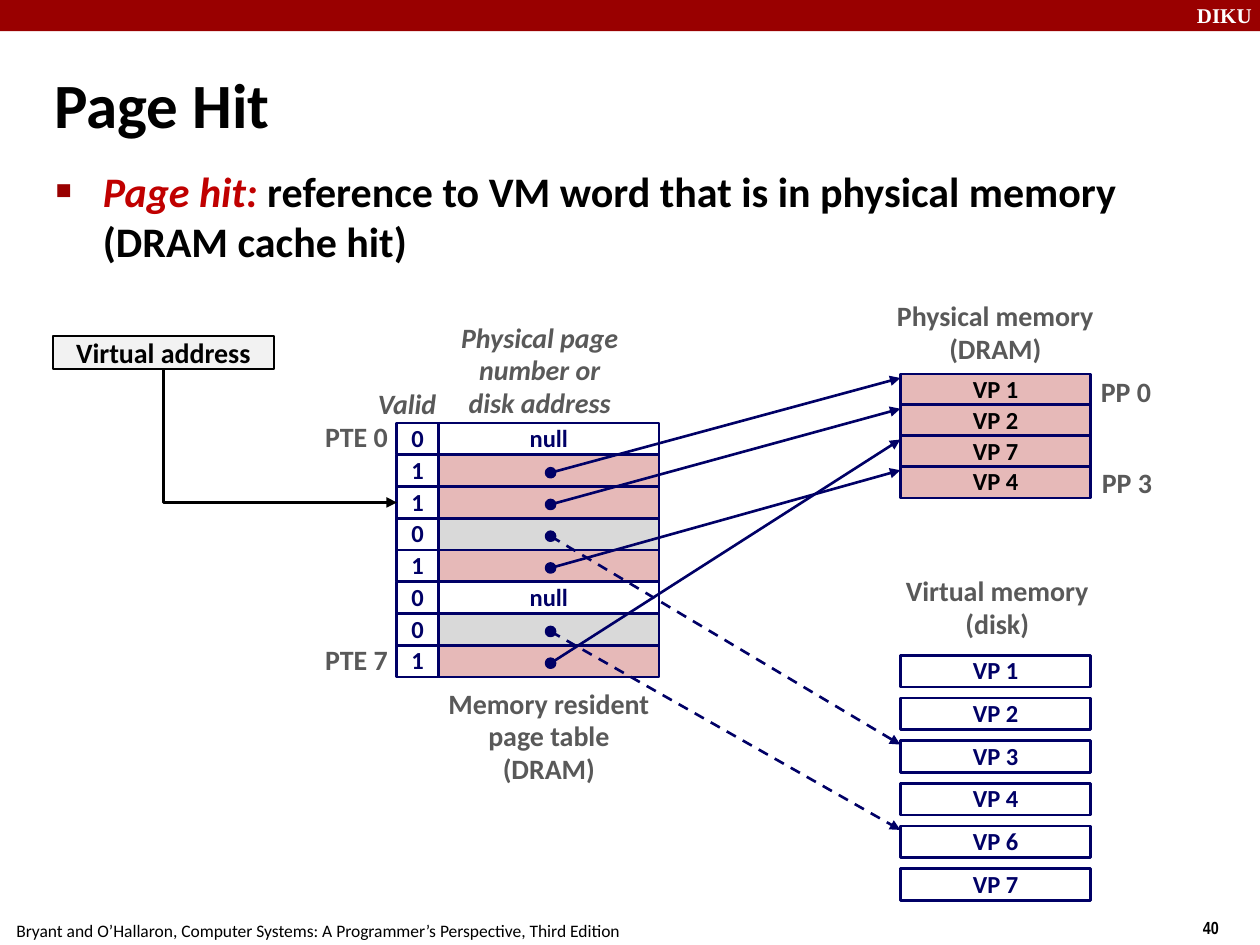
from lxml import etree
from pptx import Presentation
from pptx.dml.color import RGBColor
from pptx.enum.dml import MSO_LINE
from pptx.enum.shapes import MSO_CONNECTOR, MSO_SHAPE
from pptx.enum.text import MSO_ANCHOR, MSO_AUTO_SIZE, PP_ALIGN
from pptx.oxml.ns import qn
from pptx.util import Cm, Pt

RECT, OVAL = MSO_SHAPE.RECTANGLE, MSO_SHAPE.OVAL
STRAIGHT, ELBOW = MSO_CONNECTOR.STRAIGHT, MSO_CONNECTOR.ELBOW
LEFT, CENTER, RIGHT = PP_ALIGN.LEFT, PP_ALIGN.CENTER, PP_ALIGN.RIGHT
TOP, MIDDLE = MSO_ANCHOR.TOP, MSO_ANCHOR.MIDDLE
DASH = MSO_LINE.DASH
NO_FIT = MSO_AUTO_SIZE.NONE

BLACK = RGBColor(0x00, 0x00, 0x00)
WHITE = RGBColor(0xFF, 0xFF, 0xFF)
BANNER_RED = RGBColor(0x99, 0x00, 0x00)
TERM_RED = RGBColor(0xC0, 0x00, 0x00)
NAVY = RGBColor(0x00, 0x00, 0x66)
PINK = RGBColor(0xE6, 0xB9, 0xB8)
GRAY = RGBColor(0xD9, 0xD9, 0xD9)
PALE = RGBColor(0xF2, 0xF2, 0xF2)
LABEL_GRAY = RGBColor(0x59, 0x59, 0x59)

CELL_FONT = {"name": "Calibri", "size": Pt(14), "bold": True}
LABEL_FONT = {"name": "Calibri", "size": Pt(16), "bold": True}
ITALIC_FONT = {**LABEL_FONT, "italic": True}
TITLE_FONT = {"name": "Calibri", "size": Pt(36), "bold": True}
BODY_FONT = {"name": "Calibri", "size": Pt(24), "bold": True}

# Grid, in centimetres
ROW_H = 0.64
VALID_X, VALID_W = 8.0, 0.84
PTE_X, PTE_Y, PTE_W = 8.84, 8.53, 4.45
PAGE_X, PAGE_W = 18.15, 3.84
DRAM_Y, DRAM_STEP = 7.54, 0.62
DISK_Y, DISK_STEP = 13.21, 0.86
DOT_X, DOT_D = 11.1, 0.2

DRAM_PAGES = ["VP 1", "VP 2", "VP 7", "VP 4"]
DISK_PAGES = ["VP 1", "VP 2", "VP 3", "VP 4", "VP 6", "VP 7"]
# Valid bit and the virtual page each entry refers to
PAGE_TABLE = [("0", None), ("1", "VP 1"), ("1", "VP 2"), ("0", "VP 3"),
              ("1", "VP 4"), ("0", None), ("0", "VP 6"), ("1", "VP 7")]


def set_attrs(obj, fmt):
    for name, value in fmt.items():
        setattr(obj, name, value)


def style_font(font, fmt, color):
    set_attrs(font, fmt)
    font.color.rgb = color


def fill_text(tf, text, fmt, color, align=CENTER, anchor=MIDDLE, spacing=0.98):
    set_attrs(tf, {"word_wrap": False, "vertical_anchor": anchor})
    for i, line in enumerate(text.split("\n")):
        p = tf.paragraphs[0] if i == 0 else tf.add_paragraph()
        set_attrs(p, {"alignment": align, "line_spacing": spacing})
        r = p.add_run()
        r.text = line
        style_font(r.font, fmt, color)


def add_label(s, text, x, y, w, h, fmt=LABEL_FONT, color=LABEL_GRAY, **layout):
    sp = s.shapes.add_textbox(Cm(x), Cm(y), Cm(w), Cm(h))
    fill_text(sp.text_frame, text, fmt, color, **layout)


def add_box(s, x, y, w, h, fill=None, line=NAVY, weight=1.5, kind=RECT):
    sp = s.shapes.add_shape(kind, Cm(x), Cm(y), Cm(w), Cm(h))
    sp.shadow.inherit = False
    if fill is None:
        sp.fill.background()
    else:
        sp.fill.solid()
        sp.fill.fore_color.rgb = fill
    if line is None:
        sp.line.fill.background()
    else:
        sp.line.color.rgb = line
        sp.line.width = Pt(weight)
    return sp


def add_cell(s, text, x, y, w, fill=None, color=NAVY):
    sp = add_box(s, x, y, w, ROW_H, fill)
    if text:
        fill_text(sp.text_frame, text, CELL_FONT, color)
    return sp


def add_arrow(s, x1, y1, x2, y2, kind=STRAIGHT, color=NAVY, weight=1.5):
    cx = s.shapes.add_connector(kind, Cm(x1), Cm(y1), Cm(x2), Cm(y2))
    cx.line.color.rgb = color
    cx.line.width = Pt(weight)
    etree.SubElement(cx.line._get_or_add_ln(), qn("a:tailEnd"), type="triangle")
    etree.SubElement(cx._element.spPr, qn("a:effectLst"))
    return cx


def add_down_right_arrow(s, box, target):
    """One-bend arrow from the bottom of box to the left side of target."""
    cx = add_arrow(s, 0, 0, 1, 1, ELBOW, BLACK, 2)
    cx.begin_connect(box, 2)
    cx.end_connect(target, 1)
    w, h = cx.width, cx.height
    mid_x, mid_y = cx.left + w // 2, cx.top + h // 2
    set_attrs(cx, {"left": mid_x - h // 2, "top": mid_y - w // 2,
                   "width": h, "height": w})
    xfrm = cx._element.spPr.find(qn("a:xfrm"))
    xfrm.set("rot", "16200000")
    xfrm.set("flipH", "1")
    cx._element.spPr.find(qn("a:prstGeom")).set("prst", "bentConnector2")


def place(sp, x, y, w, h):
    set_attrs(sp, {"left": Cm(x), "top": Cm(y), "width": Cm(w), "height": Cm(h)})


def add_title_and_body(s):
    title, body = s.shapes.title, s.placeholders[1]
    place(title, 0.84, 0.99, 23.01, 2.18)
    fill_text(title.text_frame, "Page Hit", TITLE_FONT, BLACK, LEFT, spacing=1.0)
    place(body, 0.86, 3.2, 23.06, 1.68)
    tf = body.text_frame
    set_attrs(tf, {"word_wrap": True, "vertical_anchor": TOP, "auto_size": NO_FIT})
    p = tf.paragraphs[0]
    pPr = p._p.get_or_add_pPr()
    pPr.set("marL", str(Cm(0.96)))
    pPr.set("indent", str(Cm(-0.95)))
    clr = etree.SubElement(pPr, qn("a:buClr"))
    etree.SubElement(clr, qn("a:srgbClr"), val=str(BANNER_RED))
    etree.SubElement(pPr, qn("a:buSzPct"), val="40000")
    etree.SubElement(pPr, qn("a:buFont"), typeface="Calibri")
    etree.SubElement(pPr, qn("a:buChar"), char="■")
    p.space_before = Pt(0)
    for text, color, italic in [
            ("Page hit: ", TERM_RED, True),
            ("reference to VM word that is in physical memory (DRAM cache hit)",
             BLACK, False)]:
        r = p.add_run()
        r.text = text
        style_font(r.font, {**BODY_FONT, "italic": italic}, color)


def add_frame(s):
    add_box(s, 0, 0, 25.4, 0.63, BANNER_RED, None)
    for text, x, y, w, h, font, size, bold, color in [
            ("DIKU", 23.88, -0.08, 1.7, 0.76, "Times New Roman", 12, True, WHITE),
            ("40", 24.0, 18.36, 1.9, 0.74, "Arial Narrow", 10, True, BLACK),
            ("Bryant and O’Hallaron, Computer Systems: A Programmer’s "
             "Perspective, Third Edition",
             0.08, 18.42, 12.67, 0.66, "Calibri", 10, False, BLACK)]:
        fmt = {"name": font, "size": Pt(size), "bold": bold}
        add_label(s, text, x, y, w, h, fmt, color,
                  align=LEFT, anchor=TOP, spacing=1.0)


def add_pages(s, names, y, step, fill, color):
    """Stack the pages and return the top of each by name."""
    tops = {name: y + i * step for i, name in enumerate(names)}
    for name, top in tops.items():
        add_cell(s, name, PAGE_X, top, PAGE_W, fill, color)
    return tops


def add_page_table(s, dram, disk):
    valid_cells = []
    for i, (valid, page) in enumerate(PAGE_TABLE):
        y = PTE_Y + i * ROW_H
        fill = WHITE if page is None else PINK if valid == "1" else GRAY
        add_cell(s, "" if page else "null", PTE_X, y, PTE_W, fill)
        valid_cells.append(add_cell(s, valid, VALID_X, y, VALID_W))
    # Pointers: solid into memory, dashed to disk
    for i, (valid, page) in enumerate(PAGE_TABLE):
        if page is None:
            continue
        y = PTE_Y + (i + 0.5) * ROW_H + 0.04
        add_box(s, DOT_X - DOT_D / 2, y - DOT_D / 2, DOT_D, DOT_D, NAVY, NAVY, 1, OVAL)
        tops = dram if valid == "1" else disk
        cx = add_arrow(s, DOT_X, y, PAGE_X, tops[page] + 0.08)
        if valid == "0":
            cx.line.dash_style = DASH
    return valid_cells


def add_labels(s):
    add_label(s, "Memory resident\npage table\n(DRAM)", 8.79, 13.74, 4.55, 2.26, anchor=TOP)
    add_label(s, "Physical memory\n(DRAM)", 17.83, 5.92, 4.47, 1.6, anchor=TOP)
    add_label(s, "Virtual memory\n(disk)", 18.01, 11.48, 4.19, 1.6, anchor=TOP)
    add_label(s, "Valid", 7.37, 7.7, 1.9, 0.94, ITALIC_FONT, align=LEFT, anchor=TOP)
    add_label(s, "Physical page\nnumber or\ndisk address", 9.04, 6.35, 3.68, 2.26, ITALIC_FONT)
    for text, x, y, w, align in [("PTE 0", 6.07, 8.36, 2.0, RIGHT),
                                 ("PTE 7", 6.07, 12.85, 2.0, RIGHT),
                                 ("PP 0", 21.9, 7.44, 1.6, CENTER),
                                 ("PP 3", 21.92, 9.27, 1.6, CENTER)]:
        add_label(s, text, x, y, w, 0.94, align=align)


def main():
    prs = Presentation()
    set_attrs(prs, {"slide_width": Cm(25.4), "slide_height": Cm(19.05)})
    s = prs.slides.add_slide(prs.slide_layouts[1])
    add_frame(s)
    add_title_and_body(s)
    # Memory, page table and captions
    dram = add_pages(s, DRAM_PAGES, DRAM_Y, DRAM_STEP, PINK, BLACK)
    disk = add_pages(s, DISK_PAGES, DISK_Y, DISK_STEP, WHITE, NAVY)
    valid_cells = add_page_table(s, dram, disk)
    add_labels(s)
    # Virtual address selects an entry
    address = add_box(s, 1.07, 6.78, 4.45, 0.66, PALE, BLACK, 1)
    fill_text(address.text_frame, "Virtual address", LABEL_FONT, BLACK, spacing=1.0)
    add_down_right_arrow(s, address, valid_cells[2])
    prs.save("out.pptx")


if __name__ == "__main__":
    main()
